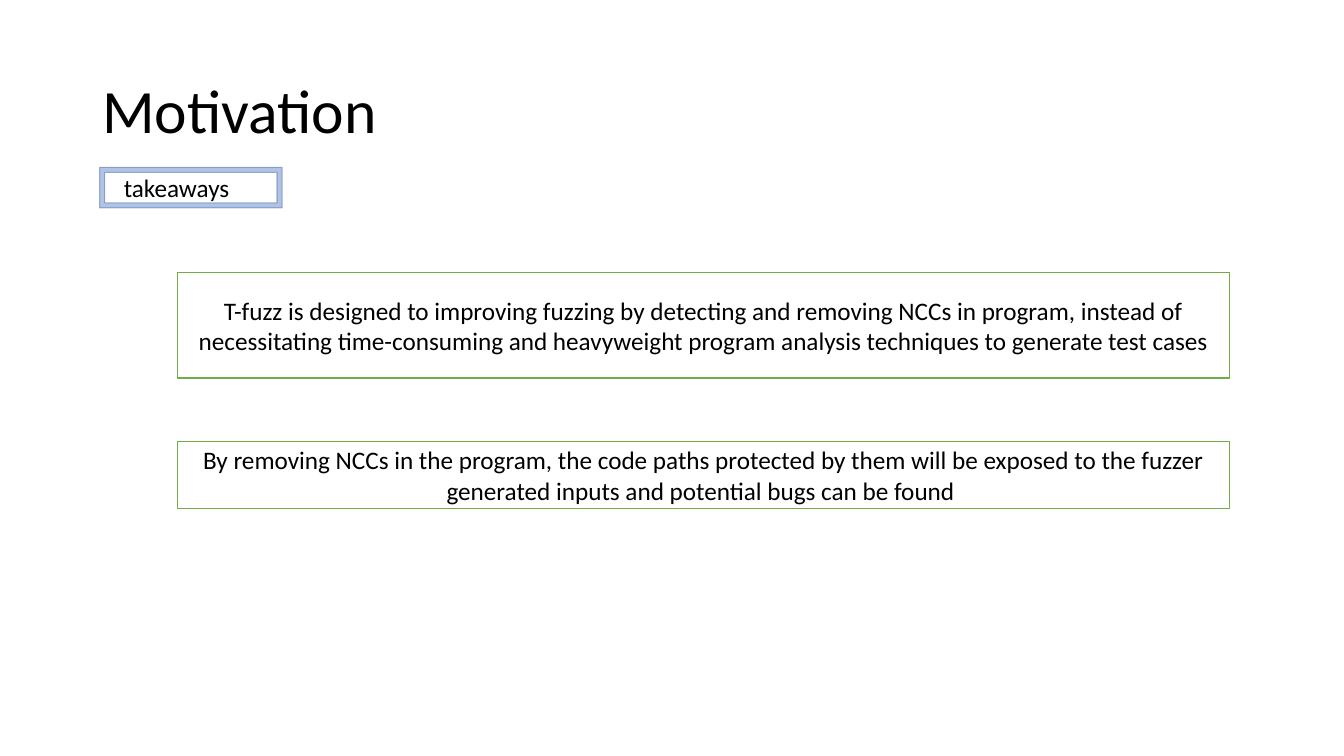
"""Build the Motivation slide with its framed takeaways."""
from lxml.etree import SubElement
from pptx import Presentation
from pptx.dml.color import RGBColor
from pptx.enum.shapes import MSO_SHAPE
from pptx.enum.text import MSO_ANCHOR, PP_ALIGN
from pptx.oxml.ns import qn
from pptx.util import Cm, Pt

TITLE = ("Motivation", (2.33, 1.01, 29.21, 3.68))
LABEL = ("takeaways", (2.87, 4.22, 3.2, 1.02))
FRAME = (2.51, 4.22, 4.6, 1.02)
BOX_LEFT, BOX_WIDTH = 4.47, 26.52
TAKEAWAYS = [
    ("T-fuzz is designed to improving fuzzing by detecting and removing NCCs in program, "
     "instead of necessitating time-consuming and heavyweight program analysis techniques "
     "to generate test cases", 6.86, 2.67),
    ("By removing NCCs in the program, the code paths protected by them will be exposed "
     "to the fuzzer generated inputs and potential bugs can be found ", 11.13, 1.68),
]


def paint(color_format, color, alpha=None):
    color_format.solid()
    color_format.fore_color.rgb = RGBColor.from_string(color)
    if alpha is not None:
        value = color_format._xPr.find(".//" + qn("a:srgbClr"))
        SubElement(value, qn("a:alpha")).set("val", str(alpha * 1000))


def write(shape, text, size, align=PP_ALIGN.LEFT, anchor=MSO_ANCHOR.MIDDLE, wrap=True):
    frame = shape.text_frame
    frame.word_wrap = wrap
    frame.vertical_anchor = anchor
    para = frame.paragraphs[0]
    para.text = text
    para.alignment = align
    para.font.size = Pt(size)
    para.font.name = "Calibri"
    paint(para.font.fill, "000000")
    return para


def add_panel(page, kind, place, fill, line, width, fill_alpha=None, line_alpha=None):
    shape = page.shapes.add_shape(kind, *map(Cm, place))
    shape.shadow.inherit = False
    paint(shape.fill, fill, fill_alpha)
    paint(shape.line.fill, line, line_alpha)
    shape.line.width = Pt(width)
    return shape


def main():
    deck = Presentation()
    deck.slide_width, deck.slide_height = Cm(33.87), Cm(19.05)
    page = deck.slides.add_slide(deck.slide_layouts[6])

    text, place = TITLE
    title = write(page.shapes.add_textbox(*map(Cm, place)), text, 44)
    title.line_spacing = 0.9

    for text, top, height in TAKEAWAYS:
        place = (BOX_LEFT, top, BOX_WIDTH, height)
        box = add_panel(page, MSO_SHAPE.RECTANGLE, place, "FFFFFF", "70AD47", 1)
        write(box, text, 18, PP_ALIGN.CENTER)

    add_panel(page, MSO_SHAPE.FRAME, FRAME, "4472C4", "325491", 0, 42, 44)
    text, place = LABEL
    write(page.shapes.add_textbox(*map(Cm, place)), text, 18,
          anchor=MSO_ANCHOR.TOP, wrap=False)

    deck.save("out.pptx")


if __name__ == "__main__":
    main()
